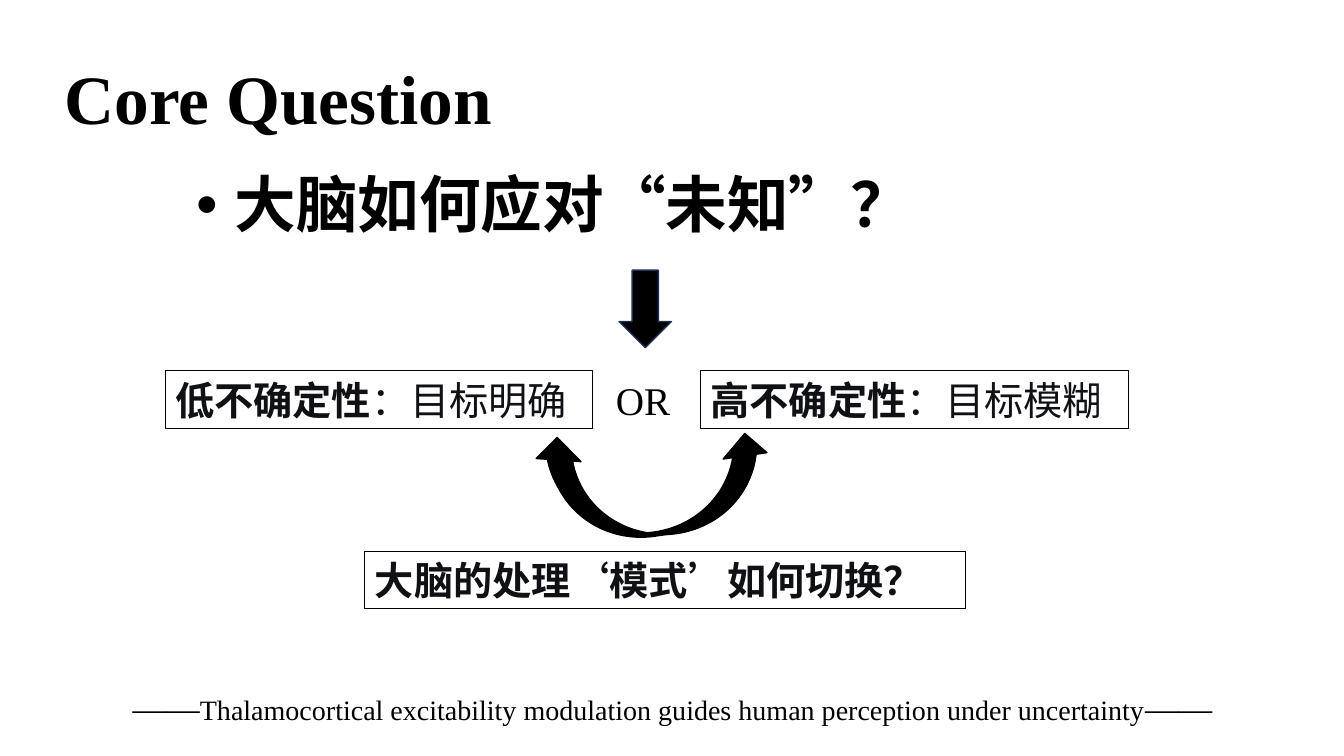
from lxml import etree
from pptx import Presentation
from pptx.dml.color import RGBColor
from pptx.enum.shapes import MSO_SHAPE as Preset
from pptx.enum.text import MSO_ANCHOR as Anchor, PP_ALIGN as Align
from pptx.oxml.ns import qn
from pptx.util import Inches, Pt

CJK, LATIN = "Noto Sans CJK SC", "Times New Roman"
BLACK, INK, NAVY = "000000", "0F1115", "1E3256"

heading = {"size": 49.5, "name": LATIN, "color": BLACK, "bold": True}
question = {"size": 44, "name": CJK, "color": BLACK, "bold": True}
strong = {"size": 28, "name": CJK, "color": INK, "bold": True}
plain = {**strong, "bold": False}
joiner = {"size": 28, "name": LATIN, "color": BLACK, "bold": False}
dash = {**joiner, "size": 24}
citation = {**joiner, "size": 20}

centred = {"alignment": Align.CENTER, "line_spacing": 0.9}
tight = {"alignment": Align.CENTER, "line_spacing": 0.8}
left = {"alignment": Align.LEFT}

ROW_TOP, ROW_HEIGHT = 3.68, 0.57
LOW_LEFT, HIGH_LEFT, OPTION_WIDTH = 1.64, 6.95, 4.24
OR_WIDTH = 0.94

texts = [
    ((0.5, 0.62, 4.52, 0.8), Anchor.BOTTOM, tight, [("Core Question", heading)]),
    ((-0.32, 6.14, 13.98, 1.13), Anchor.BOTTOM, centred, [
        ("——", dash),
        ("Thalamocortical excitability modulation guides human perception under uncertainty", citation),
        ("——", dash)]),
    ((HIGH_LEFT - OR_WIDTH, ROW_TOP, OR_WIDTH, ROW_HEIGHT), Anchor.TOP, left, [("OR", joiner)]),
]
framed = [
    ((LOW_LEFT, ROW_TOP, OPTION_WIDTH, ROW_HEIGHT), [("低不确定性", strong), ("：目标明确", plain)]),
    ((HIGH_LEFT, ROW_TOP, OPTION_WIDTH, ROW_HEIGHT), [("高不确定性", strong), ("：目标模糊", plain)]),
    ((3.62, 5.47, 5.96, ROW_HEIGHT), [("大脑的处理‘模式’如何切换？", strong)]),
]
arrows = [
    (Preset.DOWN_ARROW, (6.14, 2.68, 0.52, 0.77), NAVY, 0, False),
    (Preset.CURVED_DOWN_ARROW, (5.27, 4.4, 2.2, 0.89), BLACK, 184, False),
    (Preset.CURVED_DOWN_ARROW, (5.51, 4.42, 2.17, 0.88), BLACK, 171.7, True),
]


def rgb(value):
    return RGBColor.from_string(value)


def write(frame, runs, anchor, layout):
    frame.word_wrap = True
    frame.vertical_anchor = anchor
    para = frame.paragraphs[0]
    for key, value in layout.items():
        setattr(para, key, value)
    for text, style in runs:
        span = para.add_run()
        span.text = text
        span.font.color.rgb = rgb(style["color"])
        for key in ("name", "bold"):
            setattr(span.font, key, style[key])
        span.font.size = Pt(style["size"])
        east = etree.SubElement(span.font._element, qn("a:ea"))
        east.set("typeface", style["name"])
    return para


def add_text(page, place, anchor, layout, runs):
    box = page.shapes.add_textbox(*map(Inches, place))
    return write(box.text_frame, runs, anchor, layout)


def add_preset(page, preset, place, line_color, line_width):
    shape = page.shapes.add_shape(preset, *map(Inches, place))
    shape.shadow.inherit = False
    shape.line.color.rgb = rgb(line_color)
    shape.line.width = Pt(line_width)
    return shape


def add_bullet(para):
    properties = para._p.get_or_add_pPr()
    properties.set("marL", str(Inches(0.38)))
    properties.set("indent", str(Inches(-0.38)))
    etree.SubElement(properties, qn("a:buFont")).set("typeface", "Arial")
    etree.SubElement(properties, qn("a:buChar")).set("char", "•")


def main():
    deck = Presentation()
    deck.slide_width, deck.slide_height = Inches(13.33), Inches(7.5)
    page = deck.slides.add_slide(deck.slide_layouts[6])

    add_bullet(add_text(page, (0.5, 1.68, 10, 1.81), Anchor.TOP, centred,
                        [("大脑如何应对“未知”？", question)]))
    for place, anchor, layout, runs in texts:
        add_text(page, place, anchor, layout, runs)
    for place, runs in framed:
        frame = add_preset(page, Preset.RECTANGLE, place, BLACK, 0.75)
        frame.fill.background()
        write(frame.text_frame, runs, Anchor.TOP, left)
    for preset, place, line_color, angle, mirrored in arrows:
        arrow = add_preset(page, preset, place, line_color, 1)
        arrow.fill.solid()
        arrow.fill.fore_color.rgb = rgb(BLACK)
        arrow.rotation = angle
        if mirrored:
            arrow._element.spPr.find(qn("a:xfrm")).set("flipH", "1")

    deck.save("out.pptx")


if __name__ == "__main__":
    main()
